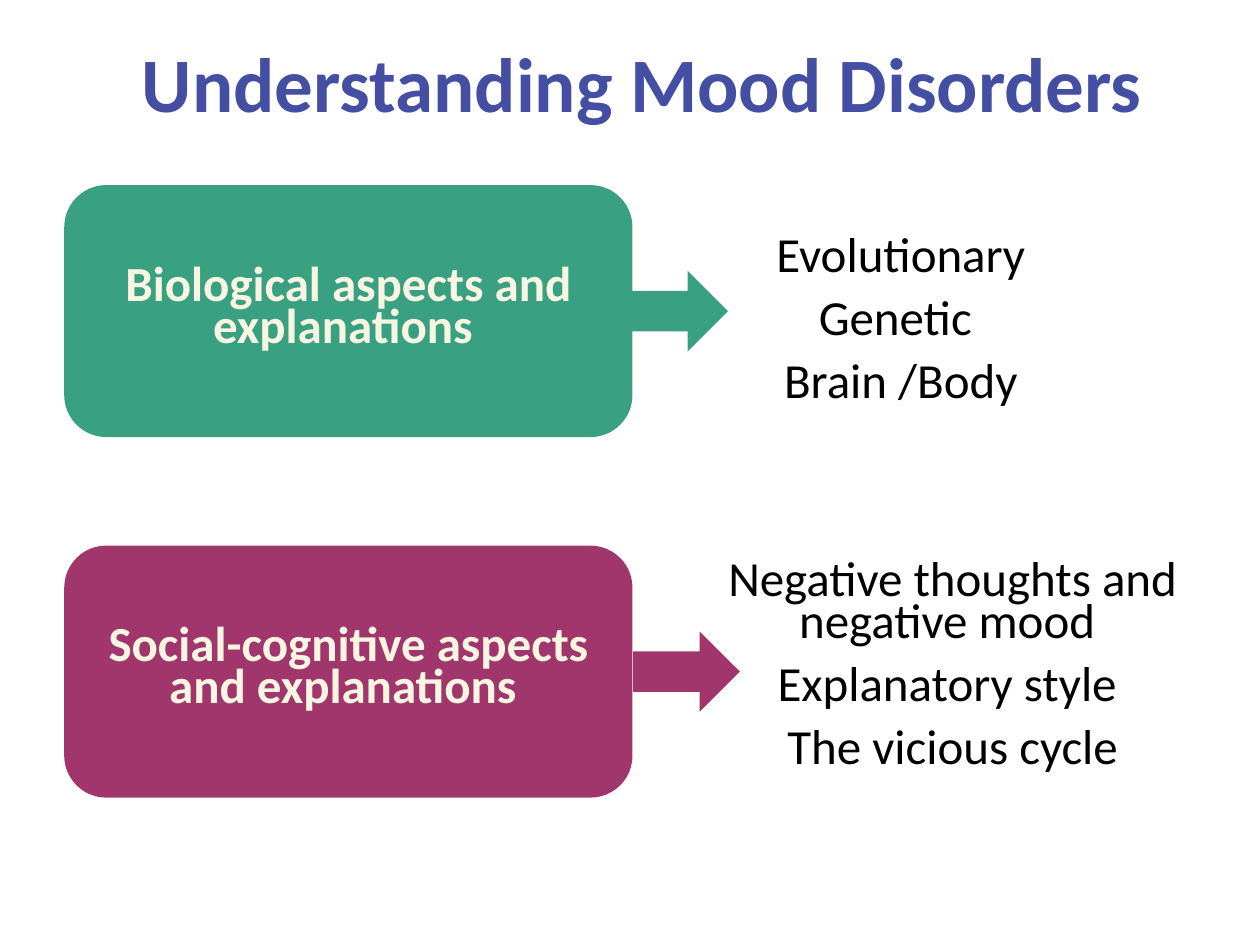
from dataclasses import dataclass

from pptx import Presentation
from pptx.dml.color import RGBColor
from pptx.enum import shapes, text
from pptx.util import Pt


@dataclass(frozen=True)
class Theme:
    font: str = "Calibri"
    title_size: int = 44
    body_size: int = 28
    title: str = "444EA2"
    cream: str = "F8F6E3"
    black: str = "000000"
    green: str = "3AA082"
    plum: str = "A0366C"


def write(box, lines, size, color, font, bold=False, leading=24, after=0,
          anchor=text.MSO_ANCHOR.TOP, insets=(7.2, 3.6, 7.2, 3.6)):
    """Fill a shape with centred paragraphs; insets are left, top, right, bottom."""
    frame = box.text_frame
    frame.word_wrap = True
    frame.vertical_anchor = anchor
    (frame.margin_left, frame.margin_top,
     frame.margin_right, frame.margin_bottom) = map(Pt, insets)
    for index, line in enumerate(lines):
        para = frame.add_paragraph() if index else frame.paragraphs[0]
        para.alignment = text.PP_ALIGN.CENTER
        para.line_spacing = Pt(leading)
        para.space_after = Pt(after)
        span = para.add_run()
        span.text = line
        span.font.name = font
        span.font.size = Pt(size)
        span.font.bold = bold
        span.font.color.rgb = RGBColor.from_string(color)


class PageBuilder:
    def __init__(self, page, theme):
        self.page = page
        self.theme = theme

    def solid(self, kind, place, color):
        shape = self.page.shapes.add_shape(kind, *map(Pt, place))
        shape.shadow.inherit = False
        shape.fill.solid()
        shape.fill.fore_color.rgb = RGBColor.from_string(color)
        shape.line.fill.background()
        return shape

    def title(self, place, line):
        box = self.page.shapes.add_textbox(*map(Pt, place))
        write(box, [line], self.theme.title_size, self.theme.title, self.theme.font,
              bold=True, leading=38, anchor=text.MSO_ANCHOR.MIDDLE,
              insets=(21.6, 3.6, 7.2, 3.6))

    def card(self, place, line, color):
        card = self.solid(shapes.MSO_SHAPE.ROUNDED_RECTANGLE, place, color)
        write(card, [line], self.theme.body_size, self.theme.cream, self.theme.font,
              bold=True, after=6, anchor=text.MSO_ANCHOR.MIDDLE, insets=(14.4,) * 4)

    def topics(self, place, lines):
        box = self.page.shapes.add_textbox(*map(Pt, place))
        write(box, lines, self.theme.body_size, self.theme.black, self.theme.font, after=12)
        box.text_frame.auto_size = text.MSO_AUTO_SIZE.SHAPE_TO_FIT_TEXT

    def arrow(self, place, color):
        self.solid(shapes.MSO_SHAPE.RIGHT_ARROW, place, color)


def main():
    theme = Theme()
    deck = Presentation()
    deck.slide_width, deck.slide_height = Pt(720), Pt(540)
    builder = PageBuilder(deck.slides.add_slide(deck.slide_layouts[6]), theme)

    # Heading
    builder.title((0, 13.7, 720, 80.6), "Understanding Mood Disorders")

    # Each row: card top, colour, card text, arrow left, topics place, topics
    rows = [
        (105.8, theme.green, "Biological aspects and explanations ", 355,
         (361.4, 133.9, 306.7, 105.8),
         ["Evolutionary", "Genetic ", "Brain /Body"]),
        (311.8, theme.plum, "Social-cognitive aspects and explanations ", 361.8,
         (391, 319, 306.7, 129.6),
         ["Negative thoughts and negative mood ", "Explanatory style ",
          "The vicious cycle"]),
    ]
    card_height, arrow_height = 144, 46

    # Cards with their topics
    for top, color, line, _, place, lines in rows:
        builder.card((36.7, top, 324.7, card_height), line, color)
        builder.topics(place, lines)

    # Arrows, centred on their cards
    for top, color, _, left, _, _ in rows:
        arrow_top = top + (card_height - arrow_height) / 2
        builder.arrow((left, arrow_top, 61, arrow_height), color)

    deck.save("out.pptx")


if __name__ == "__main__":
    main()
